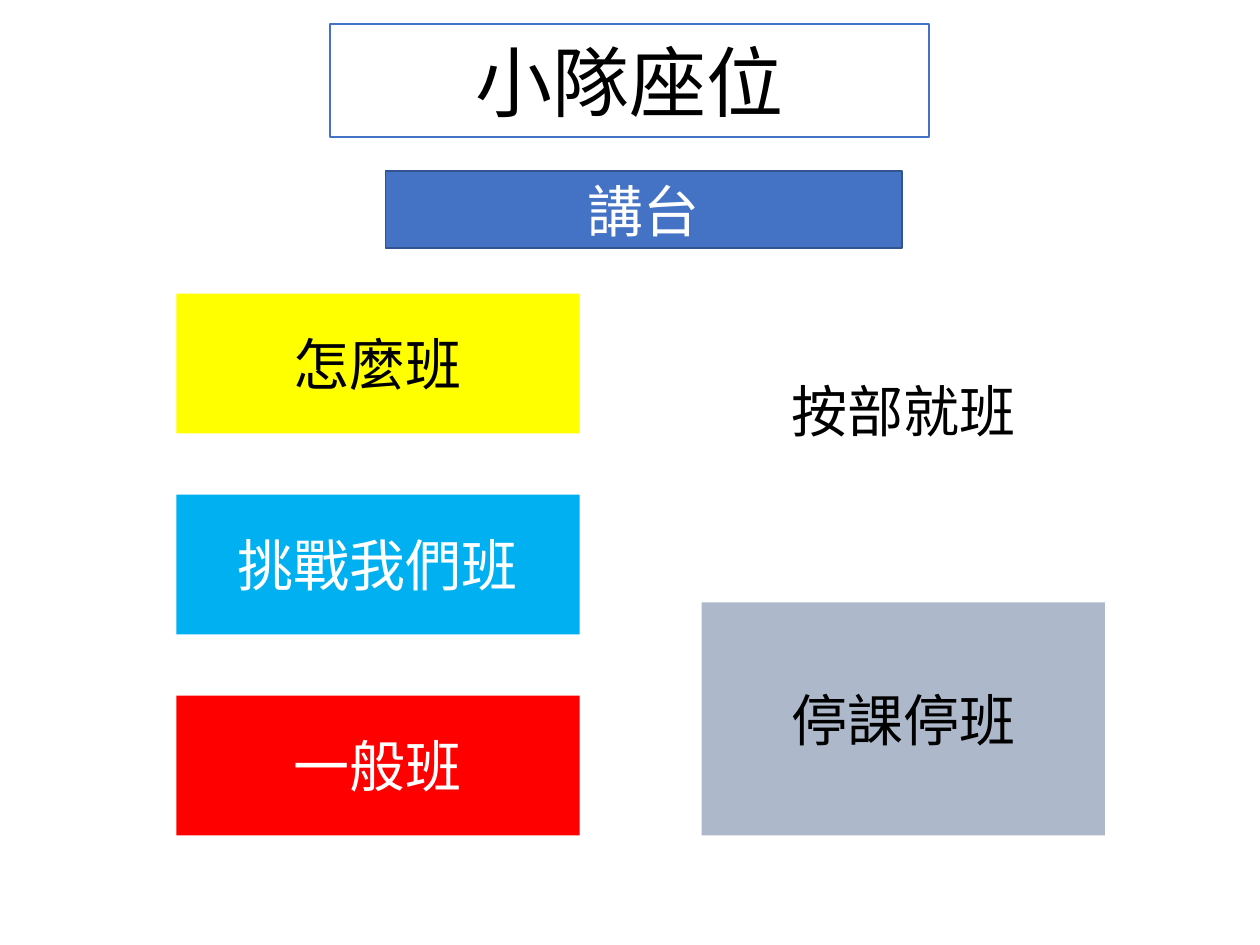
"""Build the team seating plan slide."""
import lxml.etree
import pptx
import pptx.dml.color
import pptx.enum.shapes
import pptx.enum.text
import pptx.oxml
import pptx.oxml.ns
import pptx.util

COLOURS = {
    "white": "FFFFFF", "black": "000000", "blue": "4472C4", "navy": "325491",
    "yellow": "FFFF00", "sky": "00B0F0", "red": "FF0000", "grey": "ADB9CA",
}
SEAT_TOP, SEAT_BOTTOM, SEAT_WIDTH = 167.8, 477.4, 230.4
SEAT_COLUMNS = [
    (100.8, 79.9, [("怎麼班", "yellow", "black"),
                   ("挑戰我們班", "sky", "white"),
                   ("一般班", "red", "white")]),
    (401, 133.2, [("按部就班", "white", "black"),
                  ("停課停班", "grey", "black")]),
]


def rgb(name):
    """Return the named colour."""
    return pptx.dml.color.RGBColor.from_string(COLOURS[name])


def place(shape, box):
    """Set left, top, width and height in points."""
    for side, length in zip(("left", "top", "width", "height"), box):
        setattr(shape, side, pptx.util.Pt(length))


def paint(shape, fill, outline=None):
    """Fill the shape and draw or remove its outline."""
    shape.fill.solid()
    shape.fill.fore_color.rgb = rgb(fill)
    if outline:
        shape.line.color.rgb = rgb(outline)
        shape.line.width = pptx.util.Pt(1)
    else:
        shape.line.fill.background()


def write(shape, wording, colour, size=32):
    """Write one centred line of text."""
    frame = shape.text_frame
    frame.text = wording
    frame_format = {
        "word_wrap": True,
        "auto_size": pptx.enum.text.MSO_AUTO_SIZE.NONE,
        "vertical_anchor": pptx.enum.text.MSO_ANCHOR.MIDDLE,
    }
    for name, value in frame_format.items():
        setattr(frame, name, value)
    line = frame.paragraphs[0]
    line.alignment = pptx.enum.text.PP_ALIGN.CENTER
    font = line.runs[0].font
    for name, value in {"name": "Calibri", "size": pptx.util.Pt(size)}.items():
        setattr(font, name, value)
    font.color.rgb = rgb(colour)


def add_title(slide, wording):
    """Turn the title placeholder into a translucent rounded frame."""
    title = slide.shapes.title
    place(title, (188.7, 13.7, 342, 64.8))
    properties = title.element.spPr
    properties.append(pptx.oxml.parse_xml(
        f'<a:prstGeom {pptx.oxml.ns.nsdecls("a")} prst="roundRect"><a:avLst/></a:prstGeom>'))
    paint(title, "white", "blue")
    fill_colour = properties.find(
        f'{pptx.oxml.ns.qn("a:solidFill")}/{pptx.oxml.ns.qn("a:srgbClr")}')
    lxml.etree.SubElement(fill_colour, pptx.oxml.ns.qn("a:alpha"), val="60000")
    write(title, wording, "black", 44)


def add_block(slide, box, wording, fill, text_colour, outline=None):
    """Add a labelled rectangle."""
    block = slide.shapes.add_shape(
        pptx.enum.shapes.MSO_SHAPE.RECTANGLE, *map(pptx.util.Pt, box))
    block.shadow.inherit = False
    paint(block, fill, outline)
    write(block, wording, text_colour)


def add_seats(slide, left, height, teams):
    """Spread a column of teams evenly over the seating area."""
    pitch = (SEAT_BOTTOM - SEAT_TOP - height) / (len(teams) - 1)
    for row, team in enumerate(teams):
        add_block(slide, (left, SEAT_TOP + row * pitch, SEAT_WIDTH, height), *team)


def main():
    """Build and save the slide."""
    deck = pptx.Presentation()
    deck.slide_width = pptx.util.Pt(720)
    deck.slide_height = pptx.util.Pt(540)
    slide = deck.slides.add_slide(deck.slide_layouts.get_by_name("Title Only"))
    add_title(slide, "小隊座位")
    add_block(slide, (220.3, 97.9, 295.2, 43.9), "講台", "blue", "white", "navy")
    for column in SEAT_COLUMNS:
        add_seats(slide, *column)
    deck.save("out.pptx")


if __name__ == "__main__":
    main()
